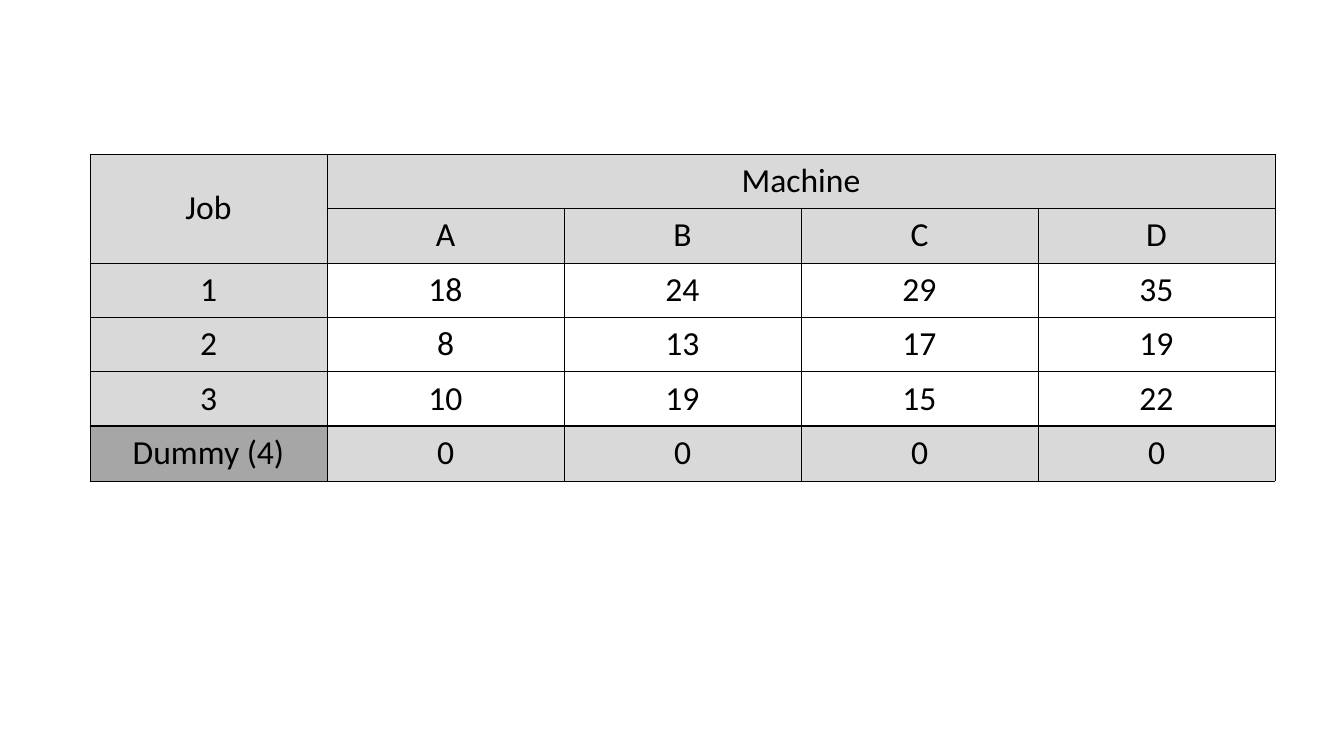
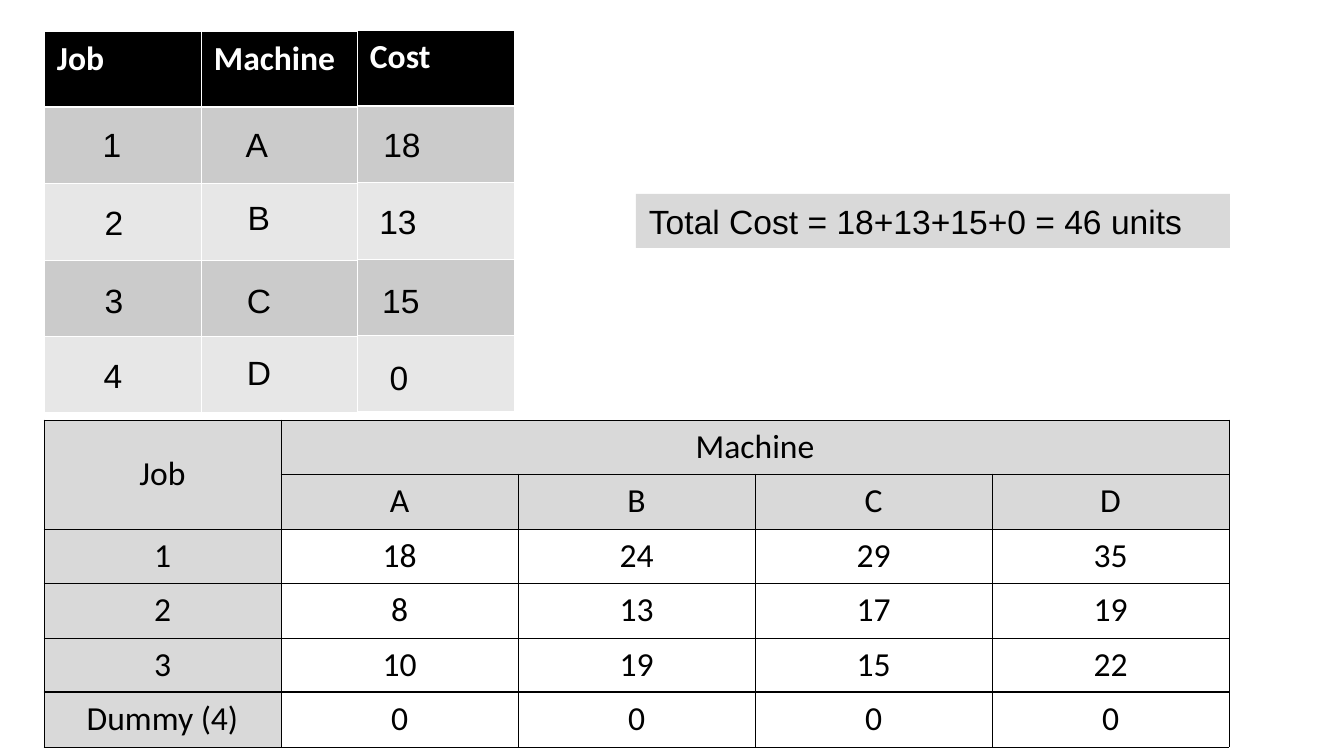
"""Build two slides on assigning jobs to machines at the lowest total cost."""
from lxml import etree
from pptx import Presentation
from pptx.dml.color import RGBColor
from pptx.enum.shapes import MSO_SHAPE
from pptx.enum.text import MSO_ANCHOR, PP_ALIGN
from pptx.oxml.ns import qn
from pptx.util import Emu, Pt

LEFT, CENTER = PP_ALIGN.LEFT, PP_ALIGN.CENTER
TOP, MIDDLE = MSO_ANCHOR.TOP, MSO_ANCHOR.MIDDLE
RECTANGLE = MSO_SHAPE.RECTANGLE

PX = 914400 / 134.4
BLACK = RGBColor(0x00, 0x00, 0x00)
WHITE = RGBColor(0xFF, 0xFF, 0xFF)
LIGHT_GRAY = RGBColor(0xD9, 0xD9, 0xD9)
DARK_GRAY = RGBColor(0xA6, 0xA6, 0xA6)
ODD_BAND = RGBColor(0xCB, 0xCB, 0xCB)
EVEN_BAND = RGBColor(0xE7, 0xE7, 0xE7)
THIN, THICK = Pt(0.45), Pt(1.47)


def write_text(holder, text, font="Arial", color=BLACK, bold=False, align=LEFT,
               anchor=TOP, inset=(13, 7)):
    holder.vertical_anchor = anchor
    holder.margin_left = holder.margin_right = Emu(int(inset[0] * PX))
    holder.margin_top = holder.margin_bottom = Emu(int(inset[1] * PX))
    frame = getattr(holder, "text_frame", holder)
    frame.word_wrap = True
    paragraph = frame.paragraphs[0]
    paragraph.alignment = align
    if text:
        run = paragraph.add_run()
        run.text = text
        run.font.name = font
        run.font.size = Pt(18)
        run.font.bold = bold
        run.font.color.rgb = color


def add_grid(slide, left, top, widths, heights, texts, fills, line_color,
             header_rule=THIN, **text_format):
    bounds = [Emu(int(length * PX)) for length in (left, top, sum(widths), sum(heights))]
    table = slide.shapes.add_table(len(heights), len(widths), *bounds).table
    table.first_row = table.horz_banding = False
    for column, width in zip(table.columns, widths):
        column.width = Emu(int(width * PX))
    for row_index, height in enumerate(heights):
        table.rows[row_index].height = Emu(int(height * PX))
        rules = {
            "a:lnL": THIN,
            "a:lnR": THIN,
            "a:lnT": header_rule if row_index == 1 else THIN,
            "a:lnB": header_rule if row_index == 0 else THIN,
        }
        for column_index in range(len(widths)):
            cell = table.cell(row_index, column_index)
            write_text(cell, texts[row_index][column_index], **text_format)
            properties = cell._tc.get_or_add_tcPr()
            for tag, rule in rules.items():
                line = etree.SubElement(properties, qn(tag), w=str(int(rule)))
                solid = etree.SubElement(line, qn("a:solidFill"))
                etree.SubElement(solid, qn("a:srgbClr"), val=str(line_color))
            cell.fill.solid()
            cell.fill.fore_color.rgb = fills[row_index][column_index]
    return table


presentation = Presentation()
presentation.slide_width = Emu(int(1344 * PX))
presentation.slide_height = Emu(int(756 * PX))
blank_layout = presentation.slide_layouts[6]
matrix_slide = presentation.slides.add_slide(blank_layout)
solution_slide = presentation.slides.add_slide(blank_layout)

band_fills = [BLACK, ODD_BAND, EVEN_BAND, ODD_BAND, EVEN_BAND]
band_heights = [76, 76, 77, 76, 76]
for left, top, widths, headers in [
    (44, 31, [157, 156], ["Job", "Machine"]),
    (357, 30, [157], ["Cost"]),
]:
    add_grid(solution_slide, left, top, widths, band_heights,
             [headers] + [[""] * len(widths)] * 4,
             [[fill] * len(widths) for fill in band_fills],
             WHITE, header_rule=THICK, font="Calibri", color=WHITE, bold=True)

assignment_labels = [
    ("1", 73, 117), ("A", 218, 117), ("18", 363, 117),
    ("2", 75, 195), ("B", 220, 190), ("13", 359, 194),
    ("3", 75, 273), ("C", 220, 273), ("15", 362, 273),
    ("4", 74, 348), ("D", 220, 345), ("0", 360, 350),
]
for label, left, top in assignment_labels:
    bounds = [Emu(int(length * PX)) for length in (left, top, 78, 54)]
    text_box = solution_slide.shapes.add_textbox(*bounds)
    write_text(text_box.text_frame, label, align=CENTER)

bounds = [Emu(int(length * PX)) for length in (636, 194, 594, 54)]
total_shape = solution_slide.shapes.add_shape(RECTANGLE, *bounds)
total_shape.shadow.inherit = False
total_shape.fill.solid()
total_shape.fill.fore_color.rgb = LIGHT_GRAY
total_shape.line.fill.background()
write_text(total_shape.text_frame, "Total Cost = 18+13+15+0 = 46 units")

cost_rows = [
    ["Job", "Machine", "", "", ""],
    ["", "A", "B", "C", "D"],
    ["1", "18", "24", "29", "35"],
    ["2", "8", "13", "17", "19"],
    ["3", "10", "19", "15", "22"],
]
cost_fills = [[LIGHT_GRAY] * 5] * 2 + [[LIGHT_GRAY] + [WHITE] * 4] * 3
cost_heights = [54, 55, 54, 55, 54]
cost_widths = [237] * 5
cost_format = {"font": "Calibri", "align": CENTER, "anchor": MIDDLE, "inset": (0, 0)}
for slide, left, top, dummy_fills in [
    (matrix_slide, 90, 154, [DARK_GRAY] + [LIGHT_GRAY] * 4),
    (solution_slide, 44, 420, [LIGHT_GRAY] + [WHITE] * 4),
]:
    cost_table = add_grid(slide, left, top, cost_widths, cost_heights,
                          cost_rows, cost_fills, BLACK, **cost_format)
    cost_table.cell(0, 0).merge(cost_table.cell(1, 0))
    cost_table.cell(0, 1).merge(cost_table.cell(0, 4))
    add_grid(slide, left, top + sum(cost_heights), cost_widths, [55],
             [["Dummy (4)"] + ["0"] * 4], [dummy_fills], BLACK, **cost_format)

presentation.save("out.pptx")
